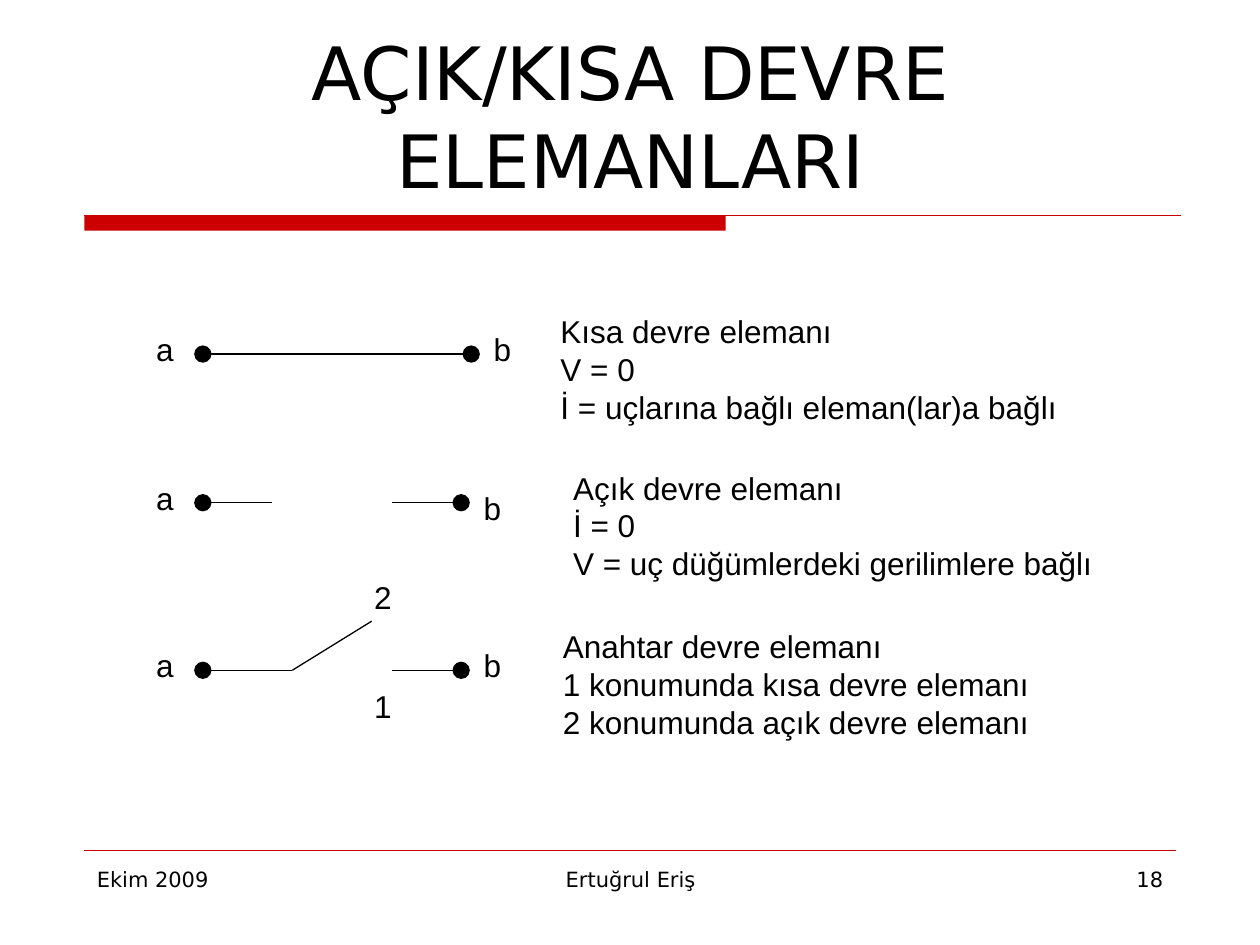
from lxml.etree import SubElement
from pptx import Presentation
from pptx.dml.color import RGBColor
from pptx.enum.shapes import MSO_CONNECTOR, MSO_SHAPE
from pptx.enum.text import MSO_ANCHOR, PP_ALIGN
from pptx.oxml.ns import qn
from pptx.util import Inches, Pt

INK = {"text": "000000", "rule": "CC0000"}
SANS, ARIAL = "DejaVu Sans", "Arial"


def write(slide, box, text, size=18, font=ARIAL, align=PP_ALIGN.LEFT,
          anchor=MSO_ANCHOR.TOP, wrap=False):
    """Place text in a box, one paragraph for each line."""
    frame = slide.shapes.add_textbox(*map(Inches, box)).text_frame
    frame.word_wrap = wrap
    frame.vertical_anchor = anchor
    frame.text = text
    for para in frame.paragraphs:
        para.alignment = align
        para.font.size = Pt(size)
        para.font.name = font
        para.font.color.rgb = RGBColor.from_string(INK["text"])


def draw(slide, start, end, color="text", width=0.75, dots=()):
    """Draw a straight line with round dots at the ends named in dots."""
    line = slide.shapes.add_connector(
        MSO_CONNECTOR.STRAIGHT, *map(Inches, (*start, *end)))
    line.line.color.rgb = RGBColor.from_string(INK[color])
    line.line.width = Pt(width)
    stroke = line.line._get_or_add_ln()
    for name in dots:
        SubElement(stroke, qn(f"a:{name}"), type="oval", w="lg", len="lg")
    SubElement(line._element.spPr, qn("a:effectLst"))


def head(slide, x, y, w, h):
    """Place the title above its thick and thin red rule."""
    write(slide, (x, y, w, h), "AÇIK/KISA DEVRE ELEMANLARI", size=42,
          font=SANS, align=PP_ALIGN.CENTER, anchor=MSO_ANCHOR.BOTTOM, wrap=True)
    left, top = x + 0.04, y + h + 0.05
    bar = slide.shapes.add_shape(
        MSO_SHAPE.RECTANGLE, *map(Inches, (left, top, 5.09, 0.12)))
    bar.shadow.inherit = False
    bar.fill.solid()
    bar.fill.fore_color.rgb = RGBColor.from_string(INK["rule"])
    bar.line.fill.background()
    draw(slide, (left, top), (left + 8.7, top), "rule")


def foot(slide, x, y, w, h):
    """Place the date, author and page number under a thin rule."""
    draw(slide, (x, y), (x + w, y), "rule", 0.25)
    parts = (
        (0, 2.17, "Ekim 2009", PP_ALIGN.LEFT),
        (2.75, 3.17, "Ertuğrul Eriş", PP_ALIGN.CENTER),
        (w - 2.17, 2.17, "18", PP_ALIGN.RIGHT),
    )
    for left, wide, text, align in parts:
        write(slide, (x + left, y + 0.08, wide, h), text, size=12,
              font=SANS, align=align, wrap=True)


def part(slide, x, y, w, note, shift, wide, gap=None, drop=0):
    """Draw a circuit element from a to b, with its note on the right."""
    if gap:
        draw(slide, (x + gap[0], y), (x, y), dots=["tailEnd"])
        draw(slide, (x + gap[1], y), (x + w, y), dots=["tailEnd"])
    else:
        draw(slide, (x, y), (x + w, y), dots=["headEnd", "tailEnd"])
    write(slide, (x - 0.47, y - 0.24, 0.34, 0.4), "a")
    write(slide, (x + w + 0.08, y - 0.24 + drop, 0.34, 0.4), "b")
    write(slide, (x + shift[0], y + shift[1], wide, 1), note)


def switch(slide, x, y):
    """Add the open arm and the two position labels of the switch."""
    draw(slide, (x, y), (x + 0.63, y - 0.39))
    for text, rise in (("1", 0.08), ("2", -0.78)):
        write(slide, (x + 0.55, y + rise, 0.32, 0.4), text, wrap=True)


def main():
    """Build the slide and save it."""
    deck = Presentation()
    deck.slide_width, deck.slide_height = Inches(10), Inches(7.5)
    slide = deck.slides.add_slide(deck.slide_layouts[6])
    head(slide, 0.63, 0.33, 8.75, 1.33)
    foot(slide, 0.67, 6.75, 8.66, 0.52)
    left = 1.61
    part(slide, left, 2.81, 2.13,
         "Kısa devre elemanı\nV = 0\nİ = uçlarına bağlı eleman(lar)a bağlı",
         (2.74, -0.38), 4.14)
    part(slide, left, 3.99, 2.05,
         "Açık devre elemanı\nİ = 0\nV = uç düğümlerdeki gerilimlere bağlı",
         (2.84, -0.32), 4.32, gap=(0.55, 1.5), drop=0.08)
    part(slide, left, 5.32, 2.05,
         "Anahtar devre elemanı\n1 konumunda kısa devre elemanı\n"
         "2 konumunda açık devre elemanı",
         (2.76, -0.39), 3.96, gap=(0.71, 1.5))
    switch(slide, left + 0.71, 5.32)
    deck.save("out.pptx")


if __name__ == "__main__":
    main()
